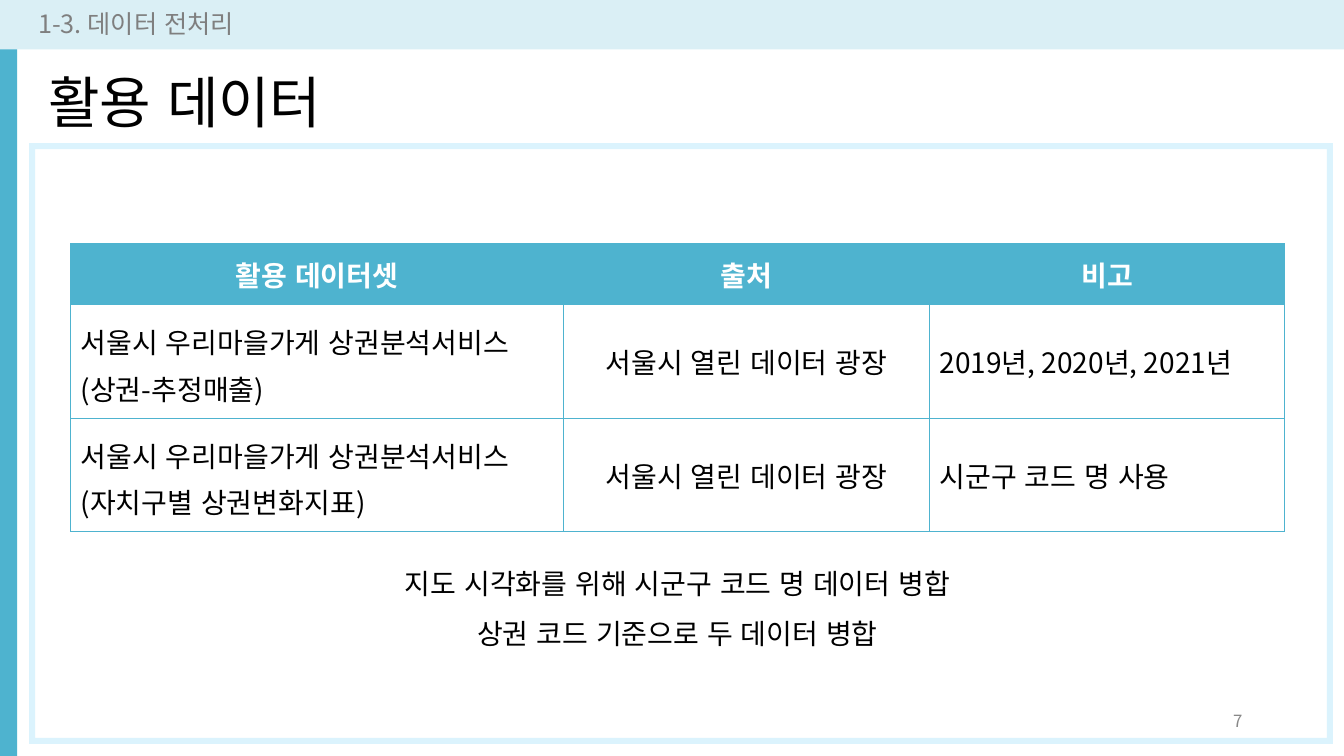
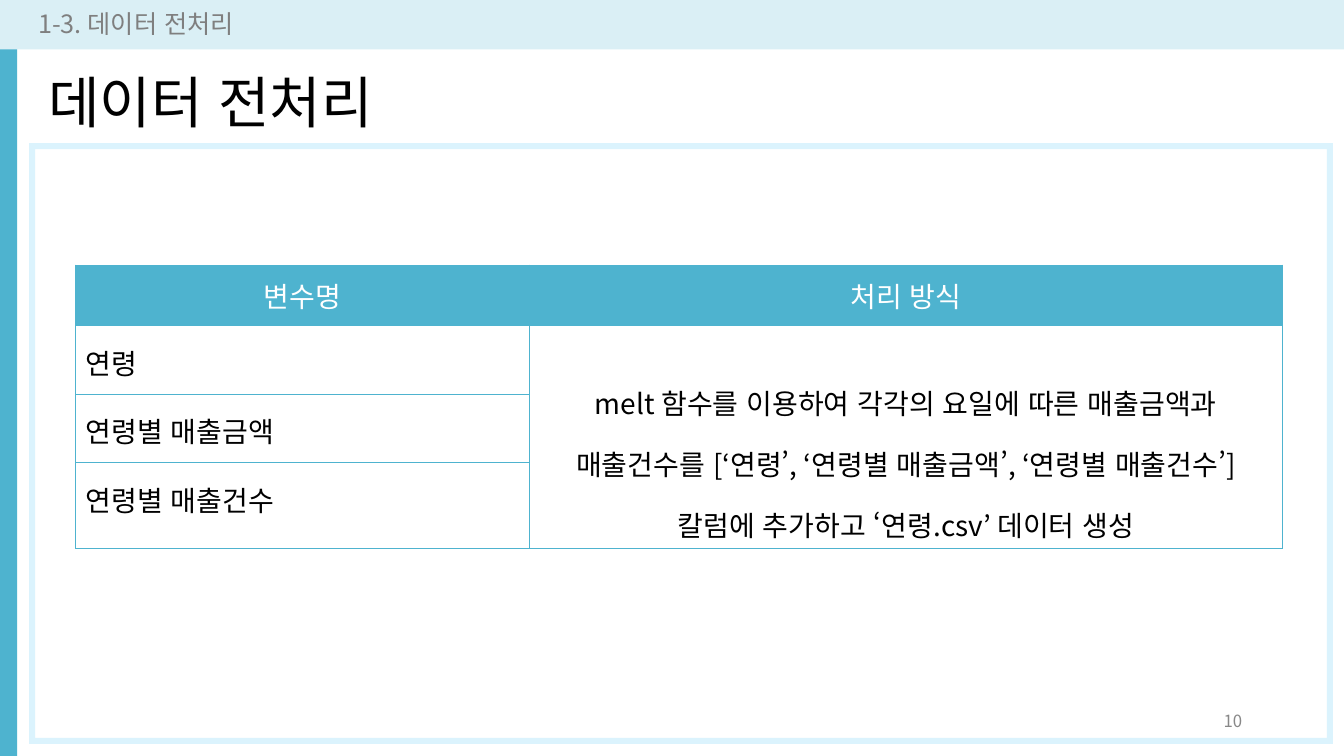
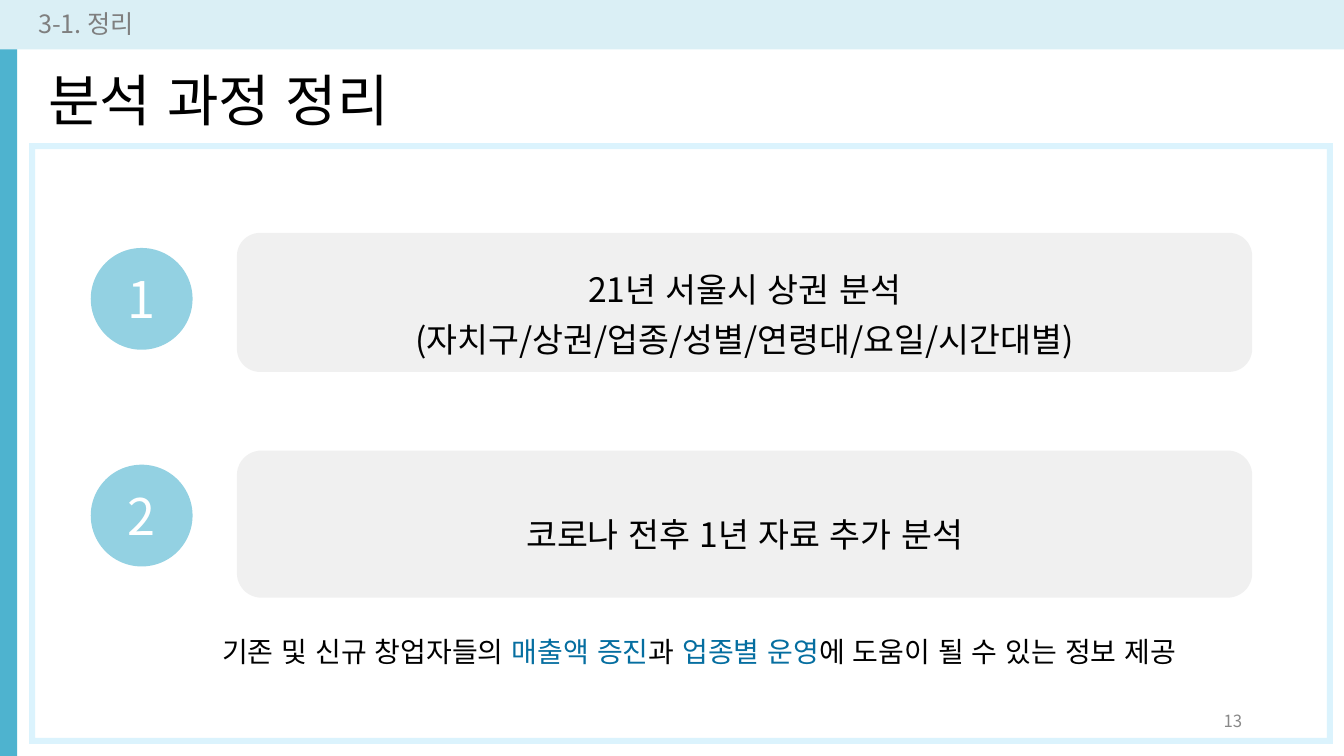
from pptx import Presentation
from pptx import util as u
from pptx.dml.color import RGBColor
from pptx.enum import lang, shapes, text
from pptx.oxml import parse_xml
from pptx.oxml.ns import nsdecls

# Theme
THEME = dict(
    font="Noto Sans CJK KR",
    accent="4EB3CF", band="DAEFF5", frame="DBF3FD", badge="93D1E2", panel="F0F0F0",
    ink="000000", white="FFFFFF", muted="7F7F7F", number="888888", strong="056EA0",
    title=40, badge_size=36, panel_size=24, body=20, crumb=18, number_size=12,
)
WIDTH, HEIGHT = 13.33, 7.5
LEFT, CENTER, RIGHT = text.PP_ALIGN.LEFT, text.PP_ALIGN.CENTER, text.PP_ALIGN.RIGHT
TOP, MIDDLE = text.MSO_ANCHOR.TOP, text.MSO_ANCHOR.MIDDLE
SHAPE = shapes.MSO_SHAPE

# Content
SOURCES = [
    ["활용 데이터셋", "출처", "비고"],
    ["서울시 우리마을가게 상권분석서비스(상권-추정매출)", "서울시 열린 데이터 광장",
     "2019년, 2020년, 2021년"],
    ["서울시 우리마을가게 상권분석서비스(자치구별 상권변화지표)", "서울시 열린 데이터 광장",
     "시군구 코드 명 사용"],
]
MERGE_NOTES = ["지도 시각화를 위해 시군구 코드 명 데이터 병합", "상권 코드 기준으로 두 데이터 병합"]
VARIABLES = [
    ["변수명", "처리 방식"],
    ["연령", "melt 함수를 이용하여 각각의 요일에 따른 매출금액과 매출건수를 "
     "[‘연령’, ‘연령별 매출금액’, ‘연령별 매출건수’] 칼럼에 추가하고 ‘연령.csv’ 데이터 생성"],
    ["연령별 매출금액", ""],
    ["연령별 매출건수", ""],
]
STEPS = [  # panel top, panel height, badge top, line spacing, top margin, lines
    (2.31, 1.38, 2.46, 1.24, 0.19,
     ["21년 서울시 상권 분석", "(자치구/상권/업종/성별/연령대/요일/시간대별)"]),
    (4.47, 1.46, 4.61, 1.5, 0.05, ["코로나 전후 1년 자료 추가 분석"]),
]
CONCLUSION = [
    ("기존 및 신규 창업자들의 ", "ink"), ("매출액 증진", "strong"), ("과 ", "ink"),
    ("업종별 운영", "strong"), ("에 도움이 될 수 있는 정보 제공", "ink"),
]


# Helpers
def inches(*lengths):
    return [u.Inches(length) for length in lengths]


def color(name):
    return RGBColor.from_string(THEME[name])


def write(frame, lines, size, tint="ink", align=LEFT, anchor=MIDDLE, bold=False,
          spacing=None, gap=0, after=0, margins=(0.1, 0.05, 0.1, 0.05)):
    """Each line is a string or a list of (words, colour) spans."""
    frame.word_wrap = True
    frame.vertical_anchor = anchor
    (frame.margin_left, frame.margin_top,
     frame.margin_right, frame.margin_bottom) = inches(*margins)
    for index, line in enumerate(lines):
        para = frame.paragraphs[0] if index == 0 else frame.add_paragraph()
        para.alignment = align
        if spacing:
            para.line_spacing = spacing
        if index and gap:
            para.space_before = u.Pt(gap)
        if after:
            para.space_after = u.Pt(after)
        for words, name in [(line, tint)] if isinstance(line, str) else line:
            span = para.add_run()
            span.text = words
            span.font.name, span.font.size = THEME["font"], u.Pt(THEME[size])
            span.font.bold = bold
            span.font.language_id = lang.MSO_LANGUAGE_ID.KOREAN
            span.font.color.rgb = color(name)
            span._r.get_or_add_rPr().append(parse_xml(
                f'<a:ea {nsdecls("a")} typeface="{THEME["font"]}"/>'))


def add_block(page, kind, place, fill, adjust=None):
    block = page.shapes.add_shape(kind, *inches(*place))
    block.shadow.inherit = False
    block.fill.solid()
    block.fill.fore_color.rgb = color(fill)
    block.line.fill.background()
    if adjust is not None:
        block.adjustments[0] = adjust
    return block


def add_words(page, place, lines, size, **style):
    box = page.shapes.add_textbox(*inches(*place))
    write(box.text_frame, lines, size, **style)


def new_page(deck, crumb, title, number, title_top=0.47):
    page = deck.slides.add_slide(deck.slide_layouts[5])
    add_block(page, SHAPE.RECTANGLE, (0, 0.48, 0.17, HEIGHT - 0.48), "accent")
    band = add_block(page, SHAPE.RECTANGLE, (0, -0.01, WIDTH, 0.5), "band")
    write(band.text_frame, [crumb], "crumb", tint="muted", margins=(0.38, 0.05, 0.1, 0.06))
    add_block(page, SHAPE.FRAME, (0.29, 1.42, 12.93, 5.96), "frame", 0.01)
    heading = page.shapes.title
    heading.left, heading.top, heading.width, heading.height = inches(0.29, title_top, 9.72, 1.08)
    write(heading.text_frame, [title], "title", margins=(0.19, 0.05, 0.19, 0.07))
    heading.text_frame.auto_size = text.MSO_AUTO_SIZE.NONE
    add_words(page, (9.42, 6.95, 3, 0.4), [number], "number_size",
              tint="number", align=RIGHT, anchor=MIDDLE)
    return page


def add_borders(cell):
    properties = cell._tc.get_or_add_tcPr()
    for position, side in enumerate("LRTB"):
        properties.insert(position, parse_xml(
            f'<a:ln{side} {nsdecls("a")} w="9525"><a:solidFill>'
            f'<a:srgbClr val="{THEME["accent"]}"/></a:solidFill></a:ln{side}>'))


def add_grid(page, rows, left, top, widths, heights, header, style_for):
    """header styles the first row; style_for(row, column) styles the rest."""
    grid = page.shapes.add_table(
        len(rows), len(widths), *inches(left, top, sum(widths), sum(heights))).table
    grid.first_row = grid.horz_banding = False
    for column, width in zip(grid.columns, widths):
        column.width = u.Inches(width)
    for row, height in zip(grid.rows, heights):
        row.height = u.Inches(height)
    for r, row in enumerate(rows):
        for c, words in enumerate(row):
            cell = grid.cell(r, c)
            if r == 0:
                cell.fill.solid()
                cell.fill.fore_color.rgb = color("accent")
            else:
                cell.fill.background()
            style = dict(margins=(0.1,) * 4, anchor=MIDDLE)
            style |= dict(tint="white", align=CENTER, **header) if r == 0 else style_for(r, c)
            anchor, margins = style.pop("anchor"), style.pop("margins")
            if words:
                write(cell.text_frame, [words], "body", **style)
            cell.vertical_anchor = anchor
            (cell.margin_left, cell.margin_top,
             cell.margin_right, cell.margin_bottom) = inches(*margins)
            add_borders(cell)
    return grid


# Slides
def data_sources(deck):
    page = new_page(deck, "1-3. 데이터 전처리", "활용 데이터", "7")
    columns = [dict(spacing=1.15, after=8), dict(align=CENTER), {}]
    add_grid(page, SOURCES, 0.7, 2.42, [4.89, 3.63, 3.52], [0.6, 1.13, 1.12],
             dict(bold=True), lambda r, c: columns[c])
    add_words(page, (0.7, 5.47, 12.04, 1.2), MERGE_NOTES, "body", align=CENTER,
              anchor=TOP, spacing=1.15, gap=8, margins=(0.1,) * 4)


def preprocessing(deck):
    page = new_page(deck, "1-3. 데이터 전처리", "데이터 전처리", "10")
    columns = [dict(spacing=1.15, anchor=TOP),
               dict(spacing=1.5, anchor=TOP, align=CENTER, margins=(0.1, 0.36, 0.1, 0.1))]
    grid = add_grid(page, VARIABLES, 0.75, 2.63, [4.5, 7.47], [0.6, 0.68, 0.68, 0.85],
                    dict(anchor=TOP), lambda r, c: columns[c])
    grid.cell(1, 1).merge(grid.cell(3, 1))


def summary(deck):
    page = new_page(deck, "3-1. 정리", "분석 과정 정리", "13", title_top=0.45)
    for number, (top, height, badge_top, spacing, inset, lines) in enumerate(STEPS, 1):
        panel = add_block(page, SHAPE.ROUNDED_RECTANGLE, (2.35, top, 10.07, height), "panel", 0.167)
        write(panel.text_frame, lines, "panel_size", align=CENTER, spacing=spacing,
              margins=(0.1, inset, 0.1, 0.05))
        badge = add_block(page, SHAPE.OVAL, (0.9, badge_top, 1.01, 1.01), "badge")
        write(badge.text_frame, [str(number)], "badge_size", tint="white", align=CENTER)
    add_words(page, (1.09, 6.14, 11.69, 0.93), [CONCLUSION], "body", align=CENTER,
              anchor=TOP, spacing=1.15, margins=(0.1,) * 4)


def main():
    deck = Presentation()
    deck.slide_width, deck.slide_height = inches(WIDTH, HEIGHT)
    for build in (data_sources, preprocessing, summary):
        build(deck)
    deck.save("out.pptx")


if __name__ == "__main__":
    main()
